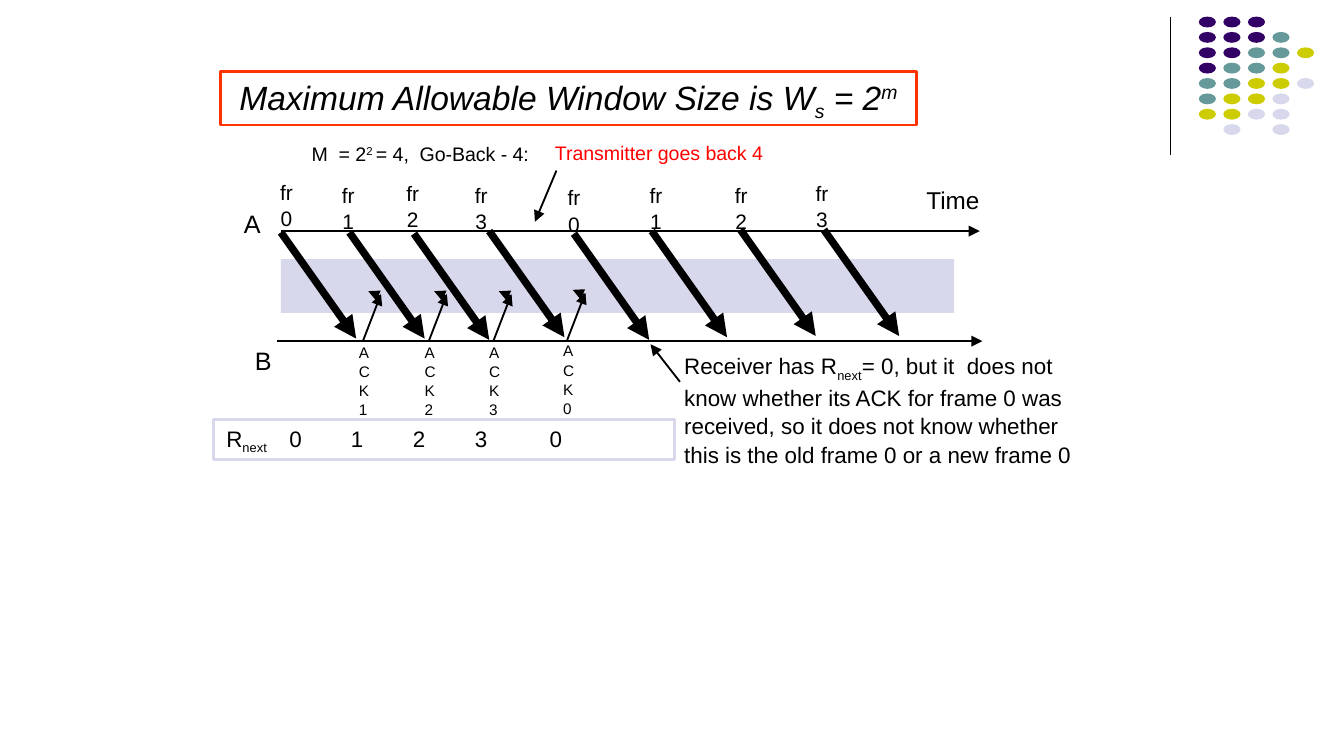
from lxml.etree import SubElement
from pptx import Presentation
from pptx.dml.color import RGBColor
from pptx.enum.shapes import MSO_CONNECTOR, MSO_SHAPE
from pptx.enum.text import MSO_ANCHOR, MSO_AUTO_SIZE, PP_ALIGN
from pptx.oxml.ns import qn
from pptx.util import Pt

BLACK, RED, ORANGE, PALE = "000000", "FF0000", "FF3300", "D8D8EC"
DOTS = {"P": "330066", "T": "669999", "Y": "CCCC00", "L": PALE}
WIDE, TIGHT = (6.75, 3.4), (4.3, 2.2)


def paint(form, color):
    form.rgb = RGBColor.from_string(color)


def line(slide, x, y, dx, dy, width=1, end="tailEnd"):
    link = slide.shapes.add_connector(
        MSO_CONNECTOR.STRAIGHT, Pt(x), Pt(y), Pt(x + dx), Pt(y + dy))
    paint(link.line.color, BLACK)
    link.line.width = Pt(width)
    if end:
        SubElement(link.line._get_or_add_ln(), qn("a:" + end), type="triangle")
    SubElement(link._element.spPr, qn("a:effectLst"))


def shape(slide, kind, x, y, w, h, fill=None, edge=None):
    part = slide.shapes.add_shape(kind, Pt(x), Pt(y), Pt(w), Pt(h))
    part.shadow.inherit = False
    if fill:
        part.fill.solid()
        paint(part.fill.fore_color, fill)
    else:
        part.fill.background()
    if edge:
        paint(part.line.color, edge)
        part.line.width = Pt(1.5)
    else:
        part.line.fill.background()
    return part


def style(frame, size, color=BLACK, align=PP_ALIGN.LEFT, pad=TIGHT, wrap=False):
    frame.word_wrap = wrap
    frame.auto_size = MSO_AUTO_SIZE.NONE
    frame.margin_left = frame.margin_right = Pt(pad[0])
    frame.margin_top = frame.margin_bottom = Pt(pad[1])
    for para in frame.paragraphs:
        para.alignment = align
        para.line_spacing = 1.05
        for run in para.runs:
            run.font.name = "Arial"
            run.font.size = Pt(size)
            paint(run.font.color, color)


def fill_runs(frame, parts):
    para = frame.paragraphs[0]
    for words, shift in parts:
        run = para.add_run()
        run.text = words
        if shift:
            run._r.get_or_add_rPr().set("baseline", str(shift * 1000))


def text(slide, x, y, w, h, words, size, **look):
    frame = slide.shapes.add_textbox(Pt(x), Pt(y), Pt(w), Pt(h)).text_frame
    if isinstance(words, str):
        frame.text = words
    else:
        fill_runs(frame, words)
    style(frame, size, **look)


def corner(slide, x, y):
    line(slide, x, y, 0, 74.2, 0.75, None)
    rows = ("PPP", "PPPT", "PPTTY", "PTTY", "TTYYL", "TYYL", "YYLL", " L L")
    for i, row in enumerate(rows):
        for j, key in enumerate(row):
            if key in DOTS:
                shape(slide, MSO_SHAPE.OVAL, x + 15.1 + j * 13.15, y + i * 8.23,
                      9.2, 5.8, DOTS[key])


def title(slide, x, y, w, h):
    head = slide.shapes.title
    head.left, head.top, head.width, head.height = Pt(x), Pt(y), Pt(w), Pt(h)
    paint(head.line.color, ORANGE)
    head.line.width = Pt(1.5)
    frame = head.text_frame
    fill_runs(frame, (("Maximum Allowable Window Size is W", 0), ("s", -25),
                      (" = 2", 0), ("m", 30)))
    style(frame, 18, align=PP_ALIGN.CENTER, pad=WIDE)
    frame.vertical_anchor = MSO_ANCHOR.MIDDLE
    for run in frame.paragraphs[0].runs:
        run.font.italic = True


def header(slide, x, y):
    text(slide, x, y + 0.7, 127.4, 17.3,
         (("M  = 2", 0), ("2 ", 30), ("= 4,  Go-Back - 4:", 0)), 10.5)
    text(slide, x + 130.3, y, 122.4, 17.3, "Transmitter goes back 4", 10.5, color=RED)
    line(slide, x + 135.4, y + 18.7, -11.5, 27.4)


def flow(slide, x, y):
    shape(slide, MSO_SHAPE.RECTANGLE, x, y + 15.1, 360.7, 28.8, PALE)
    line(slide, x, y, 374.4, 0)
    line(slide, x - 2.2, y + 59, 378, 0)
    text(slide, x - 26.5, y - 16.6, 22, 23, "A", 13.5, pad=WIDE)
    text(slide, x - 20.7, y + 56.9, 22, 23, "B", 13.5, pad=WIDE)
    text(slide, x + 339.1, y - 28.8, 43.2, 23, "Time", 13, pad=WIDE)
    sends = ((2.9, -31.7, 0, 0.7), (36, -30.2, 36.7, 0.7),
             (70.6, -31, 71.3, 1.4), (107.3, -30.2, 111.6, 0),
             (157, -28.8, 157, 1.4), (200.9, -30.2, 198.7, 0),
             (246.6, -30.2, 246.2, -0.7), (289.8, -31, 290.9, -0.7))
    for i, (mid, top, dx, dy) in enumerate(sends):
        text(slide, x + mid - 12, y + top, 24, 33.8, f"fr\n{i % 4}", 11.2,
             align=PP_ALIGN.CENTER, pad=WIDE)
        line(slide, x + dx, y + dy, 40.3, 56.9, 4)
    acks = (("ACK1", 43.9, 59), ("ACK2", 79.2, 59),
            ("ACK3", 113.8, 59), ("ACK\n0", 153.4, 58.3))
    for words, dx, dy in acks:
        text(slide, x + dx - 6.5, y + dy - 1.8, 10.1, 44.6, words, 8.2, wrap=True)
        line(slide, x + dx, y + dy, 9.7, -25.2)
        line(slide, x + dx + 9.7, y + dy - 23.8, -6.8, -3)


def remark(slide, x, y, w, h):
    line(slide, x - 13.7, y - 1.4, 15.8, 20.2, end="headEnd")
    text(slide, x, y, w, h,
         (("Receiver has R", 0), ("next", -25),
          ("= 0, but it  does not know whether its ACK for frame 0 was received, "
           "so it does not know whether this is the old frame 0 or a new frame 0", 0)),
         12, wrap=True)


def counts(slide, x, y, w, h):
    frame = shape(slide, MSO_SHAPE.RECTANGLE, x, y, w, h, edge=PALE).text_frame
    tabs = SubElement(frame.paragraphs[0]._p.get_or_add_pPr(), qn("a:tabLst"))
    for stop in (33.8, 66.8, 100, 133.2, 173.2):
        SubElement(tabs, qn("a:tab"), pos=str(Pt(stop)), algn="l")
    fill_runs(frame, (("R", 0), ("next", -25), ("\t0\t1\t2\t3\t0", 0)))
    style(frame, 12, pad=WIDE, wrap=True)
    frame.vertical_anchor = MSO_ANCHOR.MIDDLE


def main():
    deck = Presentation()
    deck.slide_width, deck.slide_height = Pt(720), Pt(405)
    slide = deck.slides.add_slide(deck.slide_layouts[5])
    corner(slide, 627.1, 8.9)
    title(slide, 118.1, 38.2, 373, 28.8)
    header(slide, 162.7, 72.7)
    flow(slide, 150.5, 123.8)
    remark(slide, 362.2, 185.8, 221.8, 62.6)
    counts(slide, 114.5, 224.6, 247, 21.6)
    deck.save("out.pptx")


if __name__ == "__main__":
    main()
